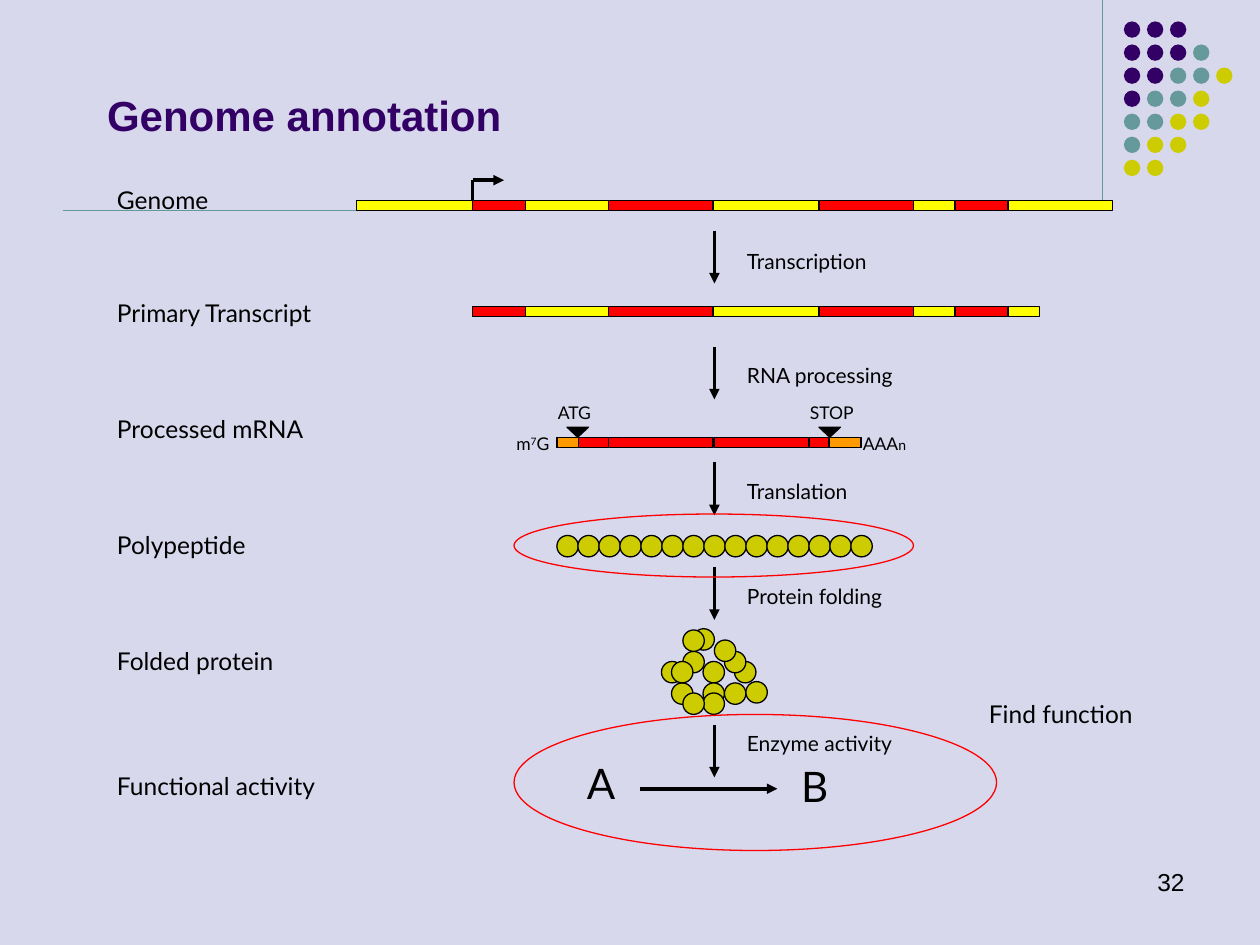
"""Build the genome annotation slide, from genome to functional activity."""
from lxml import etree
from pptx import Presentation, util as u
from pptx.dml.color import RGBColor
from pptx.enum import shapes, text
from pptx.oxml.ns import qn

BLACK, RED, YELLOW, ORANGE = "000000", "FF0000", "FFFF00", "FF9900"
PURPLE, TEAL, OLIVE, LAVENDER = "330066", "669999", "CCCC00", "D8D8EC"
RECTANGLE, OVAL = shapes.MSO_SHAPE.RECTANGLE, shapes.MSO_SHAPE.OVAL
TRIANGLE = shapes.MSO_SHAPE.ISOSCELES_TRIANGLE
BEAD, BAR_HEIGHT, AXIS = 0.17, 0.08, 5.67

DOT_COLOURS = {"P": PURPLE, "T": TEAL, "O": OLIVE}
DOT_ROWS = ["PPP", "PPPT", "PPTTO", "PTTO", "TTOO", "TOO", "OO"]

GENE_BARS = [(2.83, 1.59, 6), (3.75, 2.43, 4.5)]
EXONS = [(3.75, 0.42), (4.83, 0.83), (6.5, 0.75), (7.58, 0.42)]
MRNA_PARTS = [
    (4.42, 0.42, RED), (4.83, 0.83, RED), (5.67, 0.75, RED), (6.42, 0.42, RED),
    (4.42, 0.17, ORANGE), (6.58, 0.25, ORANGE),
]
CODON_MARKS = [4.5, 6.5]
FOLDED_BEADS = [
    (5.42, 5.17), (5.58, 5.25), (5.58, 5.42), (5.58, 5.5), (5.75, 5.42),
    (5.25, 5.25), (5.92, 5.41), (5.83, 5.25), (5.75, 5.17), (5.67, 5.08),
    (5.33, 5.42), (5.42, 5.5), (5.5, 4.99), (5.33, 5.25), (5.42, 5),
]
HIGHLIGHTS = [(4.08, 4.08, 3.17, 0.5), (4.08, 5.67, 3.83, 1.08)]

STAGES = [
    ("Genome", 1.42), ("Primary Transcript", 2.32), ("Processed mRNA", 3.24),
    ("Polypeptide", 4.16), ("Folded protein", 5.08), ("Functional activity", 6.07),
]
STEPS = [
    ("Transcription", 1.83, 1.92), ("RNA processing", 2.75, 2.83),
    ("Translation", 3.67, 3.75), ("Protein folding", 4.5, 4.58),
    ("Enzyme activity", 5.75, 5.75),
]
MRNA_LABELS = [
    (["ATG"], 4.33, 3.14, 0.5), (["STOP"], 6.33, 3.14, 0.67),
    (["AAA", "n"], 6.75, 3.39, 0.67), (["m", "7", "G"], 4, 3.39, 0.5),
]


def colour(value):
    return RGBColor.from_string(value)


def add_shape(slide, kind, box, fill=None, line=BLACK):
    shape = slide.shapes.add_shape(kind, *map(u.Inches, box))
    shape.shadow.inherit = False
    if fill:
        shape.fill.solid()
        shape.fill.fore_color.rgb = colour(fill)
    else:
        shape.fill.background()
    if line:
        shape.line.color.rgb = colour(line)
        shape.line.width = u.Pt(0.75)
    else:
        shape.line.fill.background()
    return shape


def add_line(slide, start, end, line=BLACK, width=2, arrow=False):
    connector = slide.shapes.add_connector(
        shapes.MSO_CONNECTOR.STRAIGHT, *map(u.Inches, start + end))
    connector.line.color.rgb = colour(line)
    connector.line.width = u.Pt(width)
    if arrow:
        etree.SubElement(connector.line._get_or_add_ln(), qn("a:tailEnd"), type="triangle")
    etree.SubElement(connector._element.spPr, qn("a:effectLst"))


def format_run(run, size, font, fill=BLACK, bold=False):
    run.font.size = u.Pt(size)
    run.font.name = font
    run.font.bold = bold
    run.font.color.rgb = colour(fill)


def add_text(slide, parts, box, size, font="Lato", wrap=True):
    frame = slide.shapes.add_textbox(*map(u.Inches, box)).text_frame
    frame.word_wrap = wrap
    paragraph = frame.paragraphs[0]
    for part in parts:
        run = paragraph.add_run()
        run.text = part
        format_run(run, size, font)
    return paragraph


def add_decoration(slide):
    add_line(slide, (8.75, 0), (8.75, 1.67), TEAL, 0.75)
    add_line(slide, (0.5, 1.67), (8.75, 1.67), TEAL, 0.75)
    for row, codes in enumerate(DOT_ROWS):
        for column, code in enumerate(codes):
            box = (8.92 + column * 0.183, 0.17 + row * 0.183, 0.13, 0.13)
            add_shape(slide, OVAL, box, DOT_COLOURS[code], None)


def add_title(slide):
    title = slide.shapes.title
    title.left, title.top, title.width, title.height = map(u.Inches, (0.75, 0.08, 8.5, 1.08))
    title.text_frame.text = "Genome annotation"
    title.text_frame.vertical_anchor = text.MSO_ANCHOR.BOTTOM
    paragraph = title.text_frame.paragraphs[0]
    paragraph.alignment = text.PP_ALIGN.LEFT
    format_run(paragraph.runs[0], 24, "Arial", PURPLE, True)


def add_genes(slide):
    for left, top, width in GENE_BARS:
        add_shape(slide, RECTANGLE, (left, top, width, BAR_HEIGHT), YELLOW)
        for exon_left, exon_width in EXONS:
            add_shape(slide, RECTANGLE, (exon_left, top, exon_width, BAR_HEIGHT), RED)
    add_line(slide, (3.75, 1.43), (3.75, 1.59))
    add_line(slide, (3.75, 1.43), (4, 1.43), arrow=True)


def add_mrna(slide):
    for left, width, fill in MRNA_PARTS:
        add_shape(slide, RECTANGLE, (left, 3.47, width, BAR_HEIGHT), fill)
    for left in CODON_MARKS:
        add_shape(slide, TRIANGLE, (left, 3.39, 0.17, 0.08), BLACK).rotation = 180
    for parts, left, top, width in MRNA_LABELS:
        paragraph = add_text(slide, parts, (left, top, width, 0.27), 10)
        for run in paragraph.runs:
            if run.text == "n":
                run.font.size = u.Pt(8)
            elif run.text == "7":
                run.font._element.set("baseline", "30000")


def add_protein(slide):
    chain = [(4.42 + index / 6, 4.25) for index in range(15)]
    for left, top in chain + FOLDED_BEADS:
        add_shape(slide, OVAL, (left, top, BEAD, BEAD), OLIVE)
    add_text(slide, ["A"], (4.56, 5.96, 0.41, 0.5), 24, wrap=False)
    add_text(slide, ["B"], (6.26, 5.99, 0.41, 0.5), 24, wrap=False)
    add_line(slide, (5.08, 6.26), (6.17, 6.26), arrow=True)


def add_labels(slide):
    for label, top in STAGES:
        add_text(slide, [label], (0.83, top, 2.25, 0.34), 14)
    for label, arrow_top, label_top in STEPS:
        add_line(slide, (AXIS, arrow_top), (AXIS, arrow_top + 0.42), arrow=True)
        add_text(slide, [label], (5.83, label_top, 1.83, 0.3), 12)
    for box in HIGHLIGHTS:
        add_shape(slide, OVAL, box, line=RED)
    add_text(slide, ["Find function"], (7.75, 5.5, 1.83, 0.34), 14)
    number = add_text(slide, ["32"], (7.17, 6.83, 2.33, 0.5), 14, "Arial")
    number.alignment = text.PP_ALIGN.RIGHT


def main():
    presentation = Presentation()
    presentation.slide_width, presentation.slide_height = u.Inches(10), u.Inches(7.5)
    slide = presentation.slides.add_slide(presentation.slide_layouts[5])
    slide.background.fill.solid()
    slide.background.fill.fore_color.rgb = colour(LAVENDER)
    for build in (add_decoration, add_title, add_genes, add_mrna, add_protein, add_labels):
        build(slide)
    presentation.save("out.pptx")


if __name__ == "__main__":
    main()
